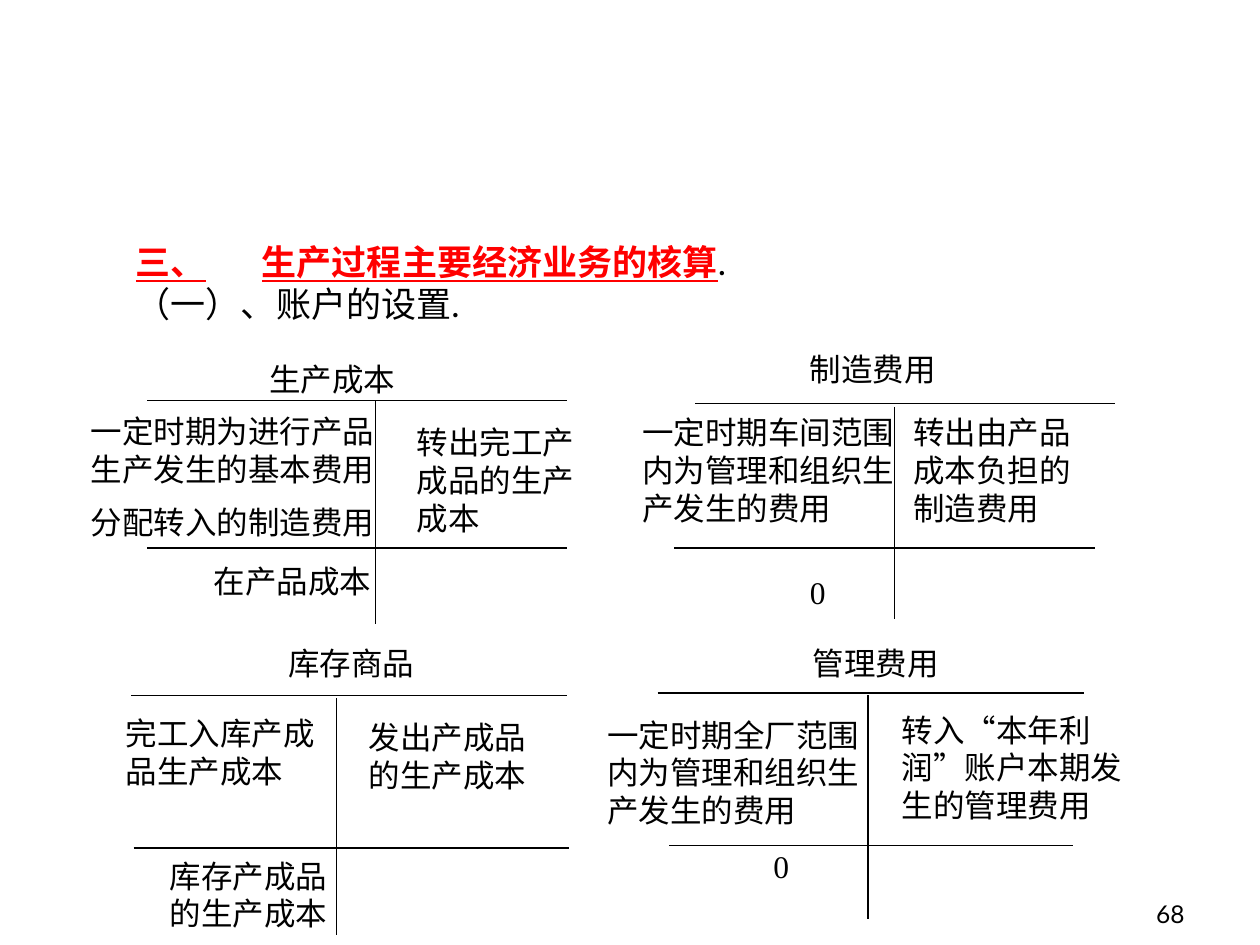
from lxml import etree
from pptx import Presentation
from pptx.dml.color import RGBColor
from pptx.enum.shapes import MSO_CONNECTOR
from pptx.enum.text import MSO_ANCHOR, MSO_AUTO_SIZE, PP_ALIGN
from pptx.oxml.ns import qn
from pptx.util import Inches, Pt

BLACK = RGBColor(0, 0, 0)
RED = RGBColor(255, 0, 0)
LINE = MSO_CONNECTOR.STRAIGHT
BOTTOM = MSO_ANCHOR.BOTTOM
GROW = MSO_AUTO_SIZE.SHAPE_TO_FIT_TEXT
RIGHT = PP_ALIGN.RIGHT

deck = Presentation()
deck.slide_width = Inches(10)
deck.slide_height = Inches(7.5)
slide = deck.slides.add_slide(deck.slide_layouts[6])
CELL = deck.slide_width / 100


def add_text(shapes, area, paras, size, face, gap=0):
    box = shapes.add_textbox(*[round(n * CELL) for n in area])
    frame = box.text_frame
    frame.word_wrap = True
    frame.auto_size = GROW
    for i, runs in enumerate(paras):
        para = frame.paragraphs[0] if i == 0 else frame.add_paragraph()
        if i:
            para.space_before = Pt(gap)
        for words, color, strong in runs:
            run = para.add_run()
            run.text = words
            run.font.size = Pt(size)
            run.font.name = face
            run.font.color.rgb = color
            run.font.bold = strong
            run.font.underline = strong
    return frame


def add_line(shapes, ends):
    line = shapes.add_connector(LINE, *[round(n * CELL) for n in ends])
    line.line.color.rgb = BLACK
    line.line.width = Pt(0.75)
    etree.SubElement(line._element.spPr, qn("a:effectLst"))


page = add_text(slide.shapes, (74.2, 69.2, 20.8, 5), [[("68", BLACK, False)]], 14, "Lato")
page.auto_size = MSO_AUTO_SIZE.NONE
page.vertical_anchor = BOTTOM
page.paragraphs[0].alignment = RIGHT

add_text(slide.shapes, (9.8, 18.6, 50, 7.7), [
    [("三、\t生产过程主要经济业务的核算", RED, True), (".", BLACK, False)],
    [("（一）、账户的设置.", BLACK, False)],
], 20, "Lato")

# columns and rows are tenths of an inch
accounts = [
    ([(11.7, 31.8, 45, 31.8), (11.7, 43.5, 45, 43.5), (29.8, 31.8, 29.8, 49.5)],
     [((20.4, 28.1, 20, 4), ["生产成本"]),
      ((6.2, 32.2, 26.5, 11.5), ["一定时期为进行产品生产发生的基本费用", "分配转入的制造费用"]),
      ((16, 44.1, 23.3, 4), ["在产品成本"]),
      ((32.1, 33.1, 16.2, 10), ["转出完工产成品的生产成本"])]),
    ([(55.2, 32, 88.5, 32), (53.5, 43.5, 86.9, 43.5), (71, 32.3, 71, 49.1)],
     [((63.3, 27.3, 24.2, 4), ["制造费用"]),
      ((50, 32.3, 22.5, 10), ["一定时期车间范围内为管理和组织生产发生的费用"]),
      ((71.5, 32.3, 16.7, 10), ["转出由产品成本负担的制造费用"]),
      ((63.3, 45, 7.5, 4), ["0"])]),
    ([(10.4, 55.2, 45, 55.2), (10.6, 67.3, 45.2, 67.3), (26.7, 55.4, 26.7, 74.2)],
     [((21.9, 50.6, 18.3, 4), ["库存商品"]),
      ((9, 56.2, 17.7, 7), ["完工入库产成品生产成本"]),
      ((28.3, 56.5, 15.2, 7), ["发出产成品的生产成本"]),
      ((12.5, 67.5, 15.8, 7), ["库存产成品的生产成本"])]),
    ([(52.2, 55, 86, 55), (53.1, 67.1, 85.2, 67.1), (68.9, 55.2, 68.9, 72.9)],
     [((63.5, 50.6, 19.2, 4), ["管理费用"]),
      ((47.2, 56.3, 22.3, 10), ["一定时期全厂范围内为管理和组织生产发生的费用"]),
      ((70.6, 55.9, 19.6, 10), ["转入“本年利润”账户本期发生的管理费用"]),
      ((60.4, 66.7, 6.7, 4), ["0"])]),
]

for rules, notes in accounts:
    group = slide.shapes.add_group_shape()
    for ends in rules:
        add_line(group.shapes, ends)
    for area, lines in notes:
        paras = [[(words, BLACK, False)] for words in lines]
        add_text(group.shapes, area, paras, 18, "Times New Roman", 9)

deck.save("out.pptx")
